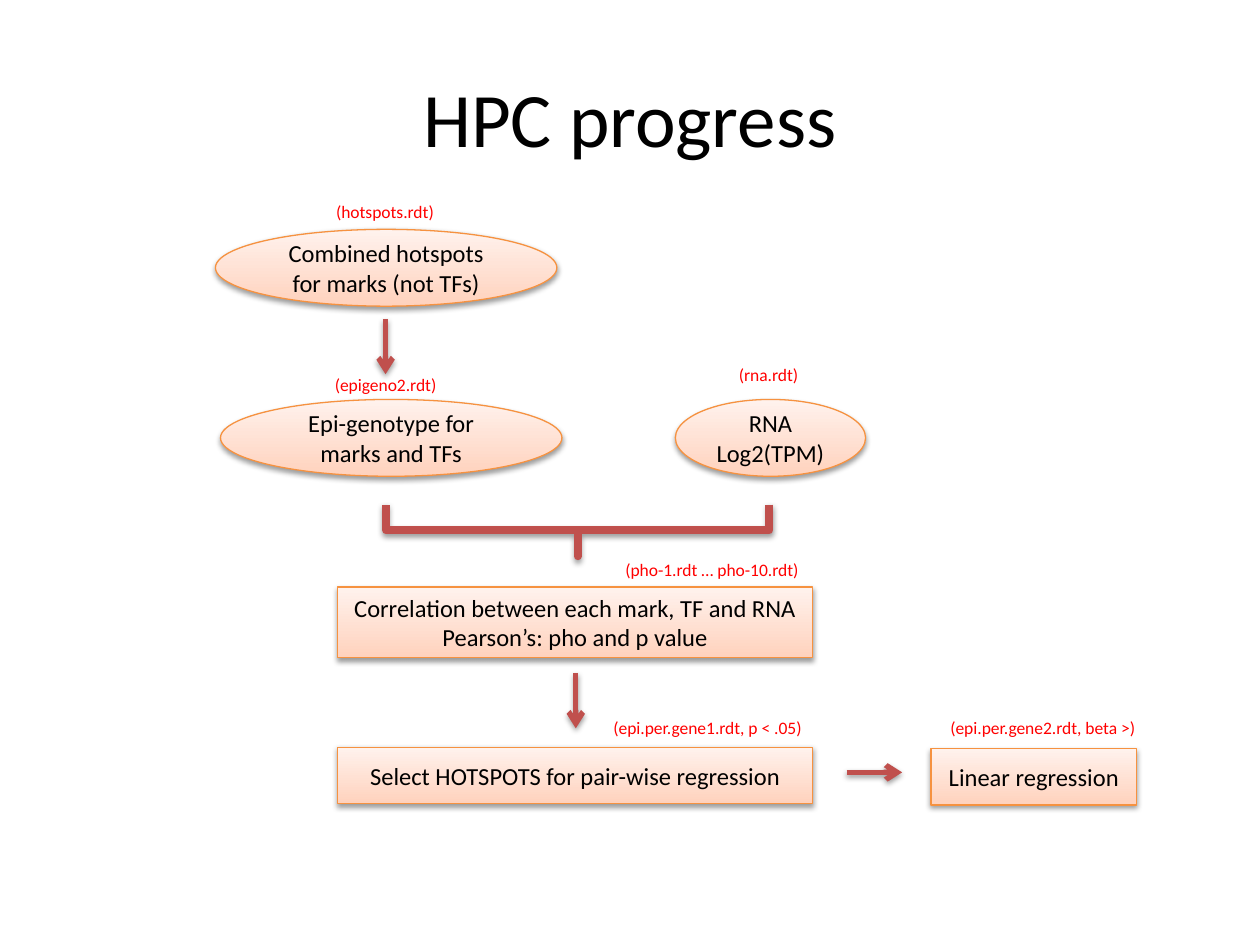
from lxml import etree
from pptx import Presentation
from pptx.dml.color import RGBColor
from pptx.enum.shapes import MSO_CONNECTOR, MSO_SHAPE
from pptx.enum.text import MSO_ANCHOR, PP_ALIGN
from pptx.oxml import parse_xml
from pptx.util import Inches, Pt

OVAL, BOX, BRACE = MSO_SHAPE.OVAL, MSO_SHAPE.RECTANGLE, MSO_SHAPE.RIGHT_BRACE
STRAIGHT = MSO_CONNECTOR.STRAIGHT
MIDDLE, CENTER = MSO_ANCHOR.MIDDLE, PP_ALIGN.CENTER
rgb = RGBColor.from_string
DRAWING = "http://schemas.openxmlformats.org/drawingml/2006/main"
CELL = Inches(0.1)  # the slide is a grid of 100 columns by 75 rows
RED_LINE = "C0504D"
SHADOW = f"""<a:effectLst xmlns:a="{DRAWING}">
  <a:outerShdw blurRad="40000" dist="20000" dir="5400000" rotWithShape="0">
    <a:srgbClr val="000000"><a:alpha val="38000"/></a:srgbClr>
  </a:outerShdw></a:effectLst>"""


def grid(*cells):
    return [round(cell * CELL) for cell in cells]


def finish(item, color, width, text="", size=14, text_color="000000"):
    """Outline and shadow an item when it has a width, and centre its text."""
    if width:
        item.line.color.rgb = rgb(color)
        item.line.width = Pt(width)
        item._element.spPr.append(parse_xml(SHADOW))
    if text:
        item.text_frame.text = text
        paragraph = item.text_frame.paragraphs[0]
        paragraph.alignment = CENTER
        paragraph.font.name = "Calibri"
        paragraph.font.size = Pt(size)
        paragraph.font.color.rgb = rgb(text_color)


deck = Presentation()
deck.slide_width, deck.slide_height = grid(100, 75)
slide = deck.slides.add_slide(deck.slide_layouts[6])
shapes = slide.shapes

title = shapes.add_textbox(*grid(5, 3, 90, 12.5))
title.text_frame.word_wrap = True
title.text_frame.vertical_anchor = MIDDLE
finish(title, None, 0, "HPC progress", size=44)

# Steps of the analysis: outline, left, top, width, height, wording
steps = [
    (OVAL, 17.1, 18.2, 27.1, 6.1, "Combined hotspots for marks (not TFs)"),
    (OVAL, 53.6, 31.7, 15.1, 6.1, "RNA Log2(TPM)"),
    (OVAL, 17.5, 31.7, 27.1, 6.1, "Epi-genotype for marks and TFs"),
    (BOX, 26.8, 46.6, 37.7, 5.6,
     "Correlation between each mark, TF and RNA Pearson’s: pho and p value"),
    (BOX, 26.8, 59.3, 37.7, 4.5, "Select HOTSPOTS for pair-wise regression"),
    (BOX, 73.9, 59.4, 16.3, 4.5, "Linear regression"),
]
for outline, left, top, width, height, wording in steps:
    step = shapes.add_shape(outline, *grid(left, top, width, height))
    step.fill.gradient()
    step.fill.gradient_angle = 90
    for stop, position, color in zip(step.fill.gradient_stops, (0, 1), ("FFD2BD", "FFF2ED")):
        stop.position = position
        stop.color.rgb = rgb(color)
    step.text_frame.word_wrap = True
    step.text_frame.vertical_anchor = MIDDLE
    finish(step, "F69240", 0.75, wording)

# The brace joins epi-genotype and RNA into the correlation step
join = shapes.add_shape(BRACE, *grid(43.8, 26.9, 4.1, 30.4))
join.rotation = 90
join.adjustments[0], join.adjustments[1] = 0, 0.5
join.fill.background()
finish(join, RED_LINE, 4.5)

ARROW_LENGTH = 4.4
for x, y, across, down in [(30.6, 25.3, 0, 1), (45.7, 53.4, 0, 1), (67.2, 61.3, 1, 0)]:
    end = (x + across * ARROW_LENGTH, y + down * ARROW_LENGTH)
    arrow = shapes.add_connector(STRAIGHT, *grid(x, y, *end))
    finish(arrow, RED_LINE, 3)
    etree.SubElement(arrow.line._get_or_add_ln(), f"{{{DRAWING}}}tailEnd", type="arrow")

# Files written by each step: left, top, width, name
files = [
    (25.6, 15.5, 9.9, "(hotspots.rdt)"),
    (25.5, 29.2, 10.2, "(epigeno2.rdt)"),
    (57.6, 28.4, 6.8, "(rna.rdt)"),
    (48.5, 43.9, 16, "(pho-1.rdt … pho-10.rdt)"),
    (47.5, 56.4, 17.3, "(epi.per.gene1.rdt, p < .05)"),
    (74.2, 56.4, 17.1, "(epi.per.gene2.rdt, beta >)"),
]
for left, top, width, name in files:
    label = shapes.add_textbox(*grid(left, top, width, 2.7))
    label.text_frame.word_wrap = False
    finish(label, None, 0, name, size=10, text_color="FF0000")

deck.save("out.pptx")
